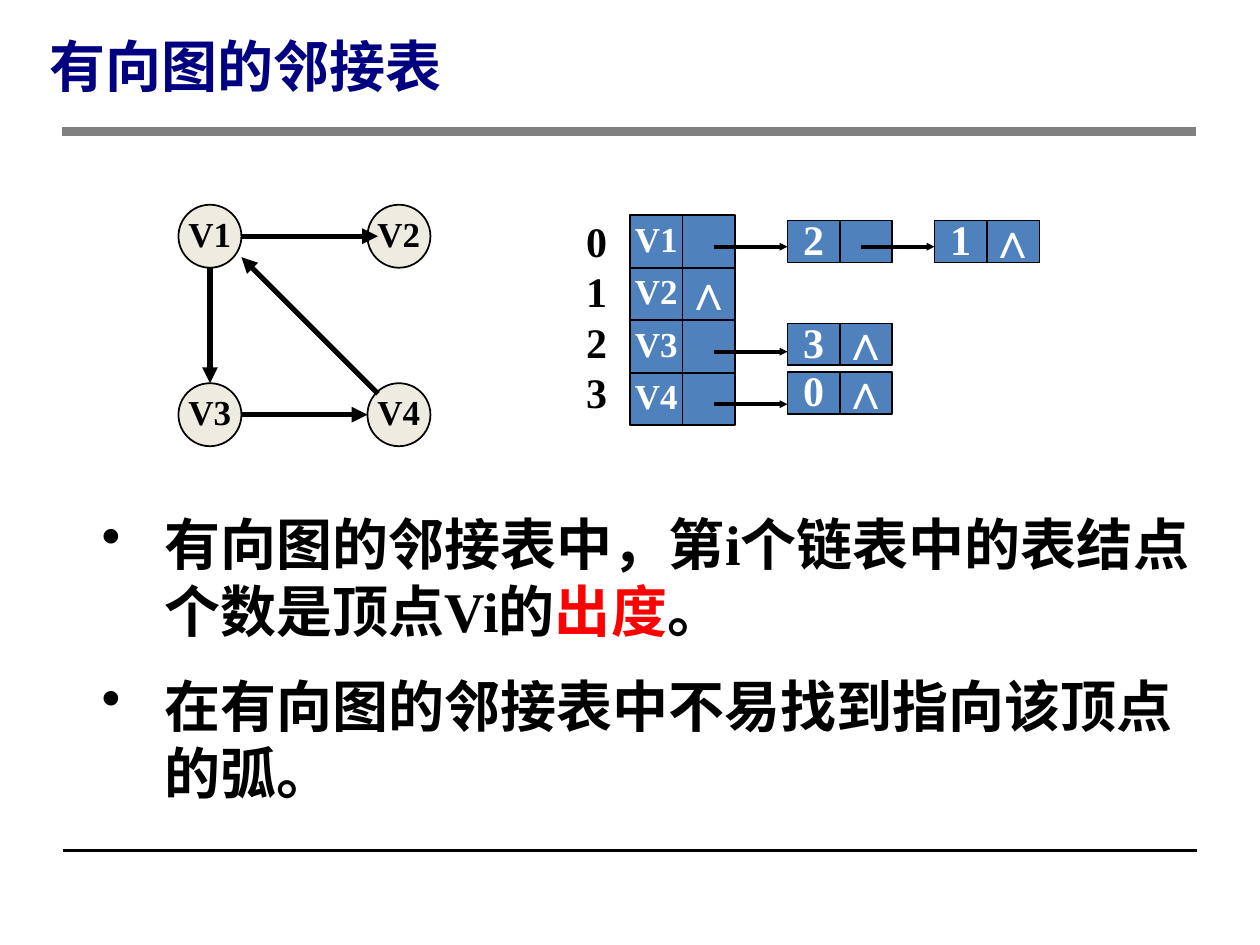
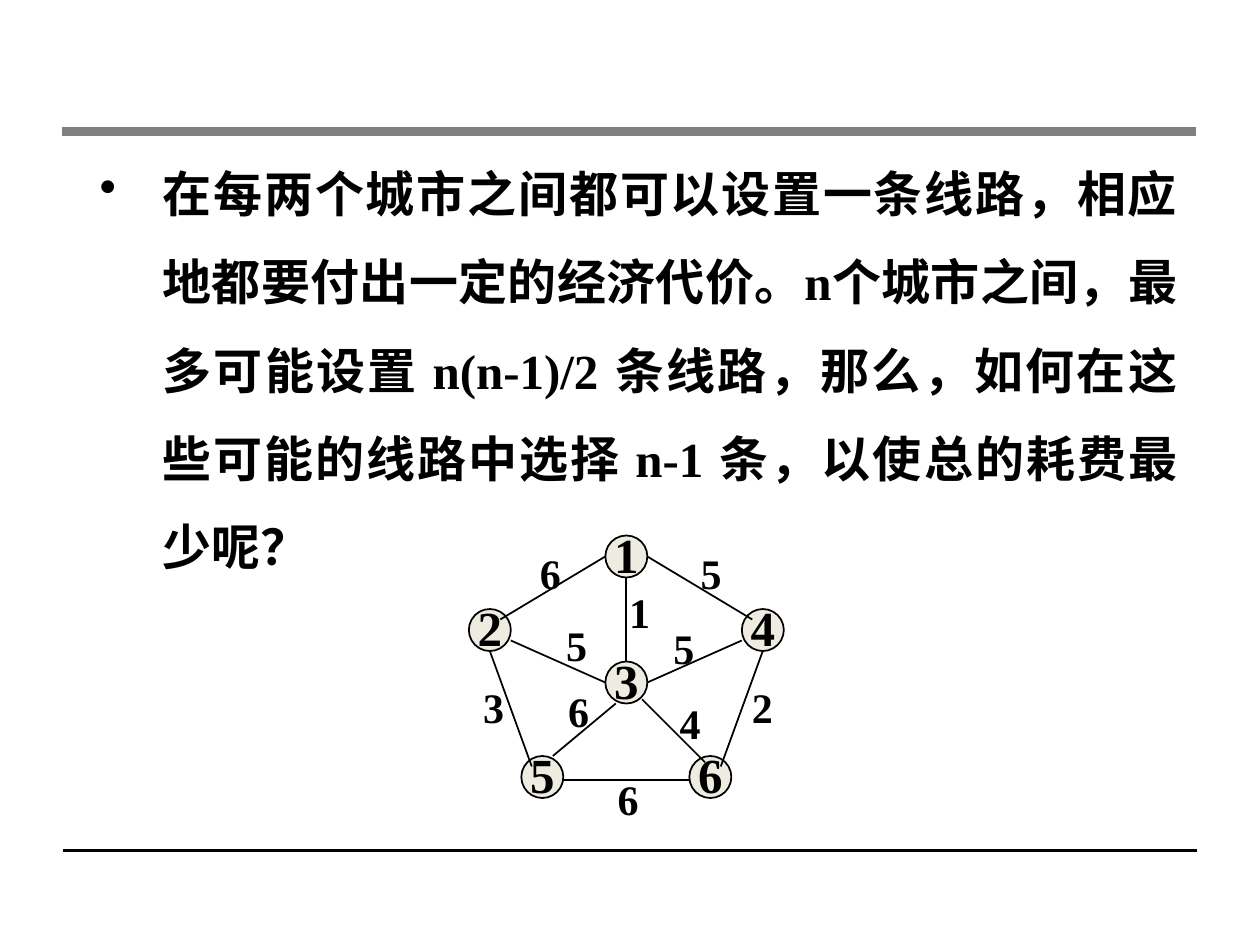
from lxml.etree import SubElement
from pptx import Presentation
from pptx.dml.color import RGBColor
from pptx.enum.shapes import MSO_CONNECTOR, MSO_SHAPE
from pptx.enum.text import MSO_ANCHOR, MSO_AUTO_SIZE, PP_ALIGN
from pptx.oxml.ns import qn
from pptx.util import Inches, Pt

COLORS = {"ink": "000000", "rule": "808080", "title": "000080", "accent": "FF0000",
          "cell": "4F81BD", "node": "EEECE1", "white": "FFFFFF"}
SERIF, HAN = "Times New Roman", "Noto Sans CJK SC"
TIGHT = (0.1, 0, 0.1, 0.05)   # insets of labels, cells and nodes
CELL = 5                      # side of a table cell, in grid steps
NIL = "∧"


def u(n):
    """Grid step: twelve to the inch."""
    return Inches(n / 12)


def rgb(name):
    return RGBColor.from_string(COLORS[name])


def write(s, paras, size, color="ink", font=SERIF, align=PP_ALIGN.LEFT, anchor=MSO_ANCHOR.TOP,
          insets=(0.1, 0.05, 0.1, 0.05), wrap=True, grow=False, spacing=None, gap=0, bullet=False):
    """Fill a shape with paragraphs, each a list of (text, colour) runs or a plain string."""
    tf = s.text_frame
    tf.margin_left, tf.margin_top, tf.margin_right, tf.margin_bottom = map(Inches, insets)
    tf.word_wrap, tf.vertical_anchor = wrap, anchor
    tf.auto_size = MSO_AUTO_SIZE.SHAPE_TO_FIT_TEXT if grow else MSO_AUTO_SIZE.NONE
    for i, runs in enumerate(paras):
        p = tf.add_paragraph() if i else tf.paragraphs[0]
        p.alignment = align
        if spacing:
            p.line_spacing = spacing
        if i and gap:
            p.space_before = Pt(gap)
        if bullet:
            pPr = p._p.get_or_add_pPr()
            pPr.set("marL", str(Inches(0.5)))
            pPr.set("indent", str(Inches(-0.5)))
            SubElement(pPr, qn("a:buChar"), char="•")
        for text, run_color in [(runs, color)] if isinstance(runs, str) else runs:
            r = p.add_run()
            r.text = text
            r.font.size, r.font.bold, r.font.name = Pt(size), True, font
            r.font.color.rgb = rgb(run_color)
            SubElement(r._r.get_or_add_rPr(), qn("a:ea"), typeface=HAN)


def textbox(slide, x, y, w, h, paras, size, **fmt):
    write(slide.shapes.add_textbox(u(x), u(y), u(w), u(h)), paras, size, **fmt)


def block(slide, kind, x, y, w, h, fill, text="", size=20, color="ink"):
    """Outlined cell or node with a centred label."""
    s = slide.shapes.add_shape(kind, u(x), u(y), u(w), u(h))
    s.shadow.inherit = False
    s.fill.solid()
    s.fill.fore_color.rgb = rgb(fill)
    s.line.color.rgb, s.line.width = rgb("ink"), Pt(1)
    if text:
        write(s, [text], size, color=color, align=PP_ALIGN.CENTER,
              anchor=MSO_ANCHOR.MIDDLE, insets=TIGHT, wrap=False)


def cell(slide, x, y, h, text="", size=24):
    block(slide, MSO_SHAPE.RECTANGLE, x, y, CELL, h, "cell", text,
          28 if text == NIL else size, "white")


def node(slide, center, radius, text, size):
    x, y = center
    block(slide, MSO_SHAPE.OVAL, x - radius, y - radius, 2 * radius, 2 * radius,
          "node", text, size)


def line(slide, start, end, width, color="ink", head=None):
    s = slide.shapes.add_connector(MSO_CONNECTOR.STRAIGHT, *map(u, (*start, *end)))
    s.line.color.rgb, s.line.width = rgb(color), Pt(width)
    if head:
        SubElement(s.line._get_or_add_ln(), qn("a:tailEnd"), type="triangle", w=head, len=head)
    SubElement(s._element.spPr, qn("a:effectLst"))


def shift(point, offset):
    return point[0] + offset[0], point[1] + offset[1]


def add_slide(prs):
    """Blank slide with the two shared rules."""
    slide = prs.slides.add_slide(prs.slide_layouts[6])
    line(slide, (6, 81), (114, 81), 2)
    line(slide, (5.9, 12.5), (113.9, 12.5), 5, "rule")
    return slide


def adjacency_table(slide):
    left, top = 60, 20.5
    # Vertex array
    for row in range(4):
        y = top + row * CELL
        cell(slide, left, y, CELL, f"V{row + 1}", 20)
        cell(slide, left + CELL, y, CELL, NIL if row == 1 else "")
    textbox(slide, 54, top, 5, 20, [str(i) for i in range(4)], 24, align=PP_ALIGN.RIGHT,
            insets=TIGHT, grow=True, spacing=Pt(28.8))
    # Linked records of each vertex
    for row, y, targets in [(0, 21, "21"), (2, 30.8, "3"), (3, 35.4, "0")]:
        for i, target in enumerate(targets):
            x = left + 15 + 14 * i
            cell(slide, x, y, 4, target)
            cell(slide, x + CELL, y, 4, NIL if i == len(targets) - 1 else "")
    # Pointers, drawn above all cells
    for row, count in [(0, 2), (2, 1), (3, 1)]:
        y = top + 3 + row * CELL
        for i in range(count):
            line(slide, (left + 8 + 14 * i, y), (left + 15 + 14 * i, y), 2.25, head="sm")


def directed_graph(slide):
    centers = {f"V{i + 1}": (20 + 18 * (i % 2), 22.5 + 17 * (i // 2)) for i in range(4)}
    for name, center in centers.items():
        node(slide, center, 3, name, 20)
    for a, a_off, b, b_off in [("V1", (0, 3), "V3", (0, -3)), ("V1", (3, 0), "V2", (-2, 0)),
                               ("V3", (3, 0), "V4", (-3, 0)), ("V4", (-2, -2), "V1", (3, 2))]:
        line(slide, shift(centers[a], a_off), shift(centers[b], b_off), 3, head="med")


def weighted_graph(slide):
    hub = (59.65, 65)
    offsets = {1: (0, -12), 2: (-13, -5), 4: (13, -5), 5: (-8, 9), 6: (8, 9), 3: (0, 0)}
    centers = {k: shift(hub, off) for k, off in offsets.items()}
    for k, center in centers.items():
        node(slide, center, 2, str(k), 28)
    # Node, offset, node, offset, weight, corner of the weight label
    edges = [(1, (-2, 0), 2, (1, -1), 6, (50.2, 52.1)),
             (1, (2, 0), 4, (-1, -1), 5, (65.5, 52.1)),
             (2, (0, 2), 5, (-1, -1), 3, (44.8, 64.9)),
             (5, (2, 0.3), 6, (-2, 0.3), 6, (57.6, 73.7)),
             (4, (0, 2), 6, (1, -1), 2, (70.4, 64.9)),
             (1, (0, 2), 3, (0, -2), 1, (58.7, 55.9)),
             (2, (2, 1), 3, (-2, 0), 5, (52.7, 59)),
             (4, (-2, 1), 3, (2, 0), 5, (62.9, 59.3)),
             (3, (-1, 2), 5, (1, -2), 6, (52.9, 65.3)),
             (3, (1.5, 1.6), 6, (-0.5, -1.4), 4, (63.5, 66.4))]
    for a, a_off, b, b_off, weight, corner in edges:
        line(slide, shift(centers[a], a_off), shift(centers[b], b_off), 1)
        textbox(slide, *corner, 4.4, 5.4, [str(weight)], 24, align=PP_ALIGN.RIGHT,
                insets=TIGHT, wrap=False, grow=True)


def main():
    prs = Presentation()
    prs.slide_width, prs.slide_height = Inches(10), Inches(7.5)

    # Adjacency list of a directed graph
    slide = add_slide(prs)
    adjacency_table(slide)
    textbox(slide, 8.5, 48.5, 108, 29.6, [
        [("有向图的邻接表中，第i个链表中的表结点个数是顶点Vi的", "ink"),
         ("出度", "accent"), ("。", "ink")],
        "在有向图的邻接表中不易找到指向该顶点的弧。",
    ], 32, insets=TIGHT, grow=True, gap=16, bullet=True)
    textbox(slide, 3.5, 2.2, 69, 7.8, ["有向图的邻接表"], 32, color="title", font=HAN,
            anchor=MSO_ANCHOR.MIDDLE, spacing=Pt(40))
    directed_graph(slide)

    # Cheapest network between cities
    slide = add_slide(prs)
    textbox(slide, 8.3, 12.2, 105, 42.7, [
        "在每两个城市之间都可以设置一条线路，相应地都要付出一定的经济代价。n个城市之间，"
        "最多可能设置 n(n-1)/2 条线路，那么，如何在这些可能的线路中选择 n-1 条，"
        "以使总的耗费最少呢？",
    ], 28, align=PP_ALIGN.JUSTIFY, grow=True, spacing=1.5, bullet=True)
    weighted_graph(slide)

    prs.save("out.pptx")


if __name__ == "__main__":
    main()
